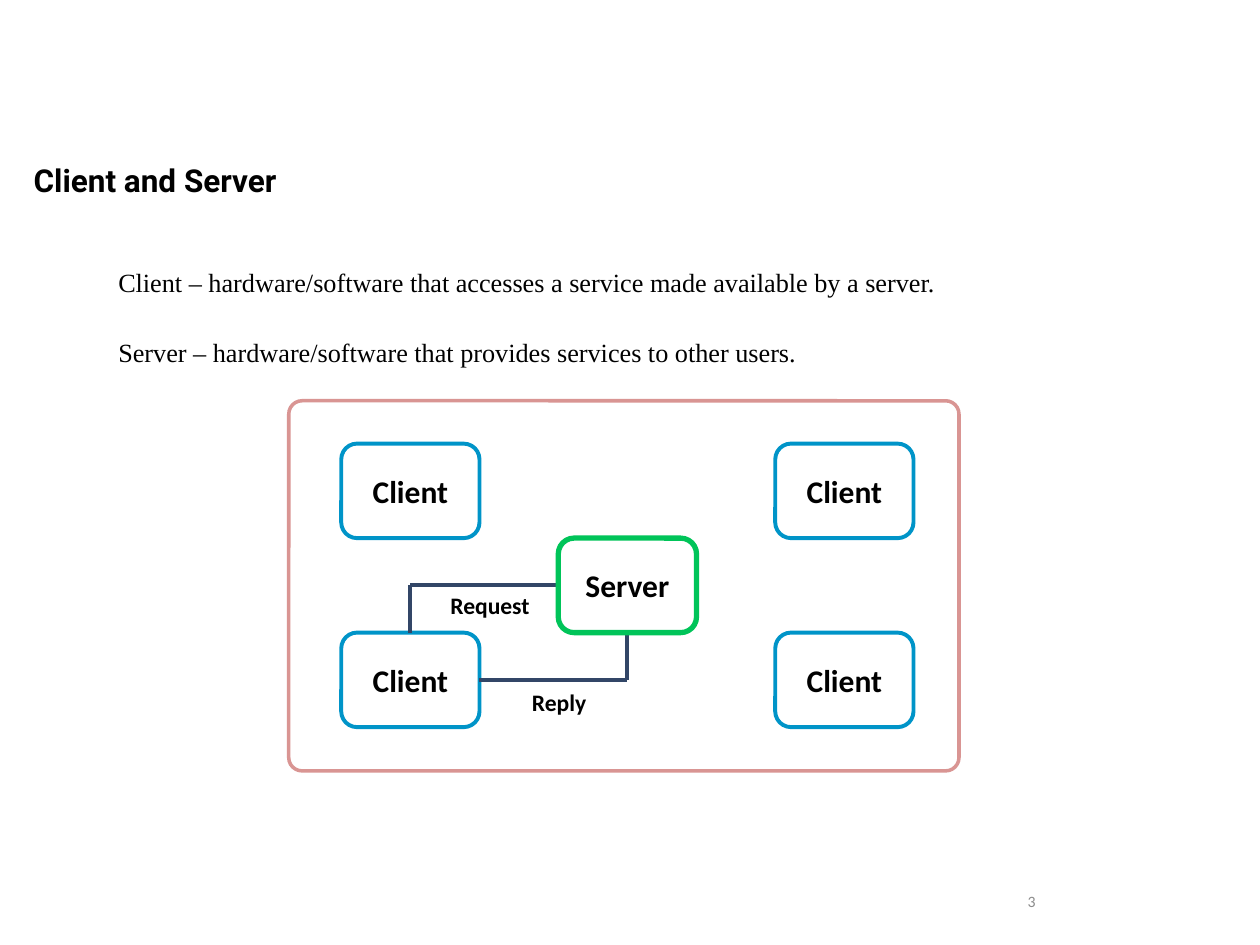
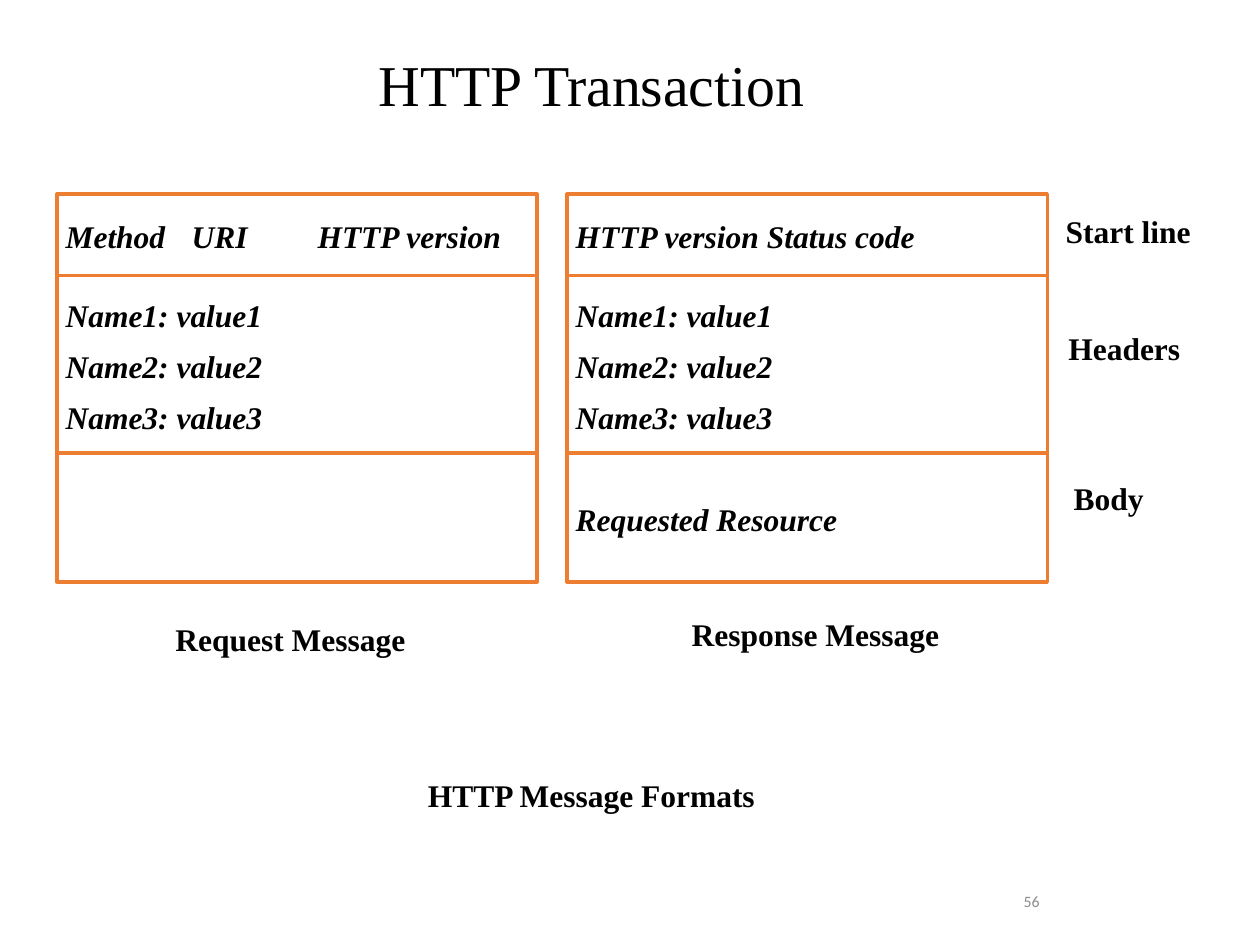
from dataclasses import dataclass
from lxml import etree
from pptx import Presentation
from pptx import util as u
from pptx.dml.color import RGBColor
from pptx.enum import shapes, text
from pptx.oxml import ns


@dataclass(frozen=True)
class Theme:
    black: str = "000000"
    white: str = "FFFFFF"
    grey: str = "8C8C8C"
    frame: str = "D99593"
    client: str = "0094C8"
    server: str = "00C459"
    link: str = "324667"
    message: str = "ED7D31"
    serif: str = "Times New Roman"
    sans: str = "Calibri"
    heading: str = "Roboto"
    title: float = 33
    label: float = 18
    body: float = 15
    small: float = 13.5
    number: float = 9


T = Theme()
LEFT, CENTER = text.PP_ALIGN.LEFT, text.PP_ALIGN.CENTER
TOP, MIDDLE = text.MSO_ANCHOR.TOP, text.MSO_ANCHOR.MIDDLE
RECT, ROUND = shapes.MSO_SHAPE.RECTANGLE, shapes.MSO_SHAPE.ROUNDED_RECTANGLE


def write(sp, lines, size, font, bold=False, italic=False, color=T.black,
          align=CENTER, anchor=TOP, spacing=1.0, before=0, inset=(7.2, 3.6)):
    tf = sp.text_frame
    tf.word_wrap = True
    tf.auto_size = text.MSO_AUTO_SIZE.NONE
    tf.vertical_anchor = anchor
    tf.margin_left = tf.margin_right = u.Pt(inset[0])
    tf.margin_top = tf.margin_bottom = u.Pt(inset[1])
    for i, line in enumerate(lines):
        p = tf.add_paragraph() if i else tf.paragraphs[0]
        p.alignment = align
        p.line_spacing = spacing
        p.space_before = u.Pt(before if i else 0)
        r = p.add_run()
        r.text = line
        r.font.size = u.Pt(size)
        r.font.name = font
        r.font.bold = bold
        r.font.italic = italic
        r.font.color.rgb = RGBColor.from_string(color)


def box(s, kind, at, line=None, weight=2):
    sp = s.shapes.add_shape(kind, *map(u.Pt, at))
    sp.shadow.inherit = False
    sp.fill.solid()
    sp.fill.fore_color.rgb = RGBColor.from_string(T.white)
    if line:
        sp.line.color.rgb = RGBColor.from_string(line)
        sp.line.width = u.Pt(weight)
    else:
        sp.line.fill.background()
    return sp


prs = Presentation()
prs.slide_width, prs.slide_height = u.Pt(720), u.Pt(540)

slides = []
for title, at, number, style in [
    ("Client and Server", (12, 88.5, 605.5, 29), "3",
     dict(size=T.label, font=T.heading, bold=True, align=LEFT)),
    ("HTTP Transaction", (193, 30, 290, 40.5), "56",
     dict(size=T.title, font=T.serif, anchor=MIDDLE, spacing=0.9)),
]:
    s = prs.slides.add_slide(prs.slide_layouts[5])
    sp = s.shapes.title
    sp.left, sp.top, sp.width, sp.height = map(u.Pt, at)
    write(sp, [title], **style)
    sp = s.shapes.add_textbox(*map(u.Pt, (508.5, 500.5, 162, 29)))
    write(sp, [number], T.number, T.sans, color=T.grey, anchor=MIDDLE)
    slides.append(s)

s = slides[0]
sp = s.shapes.add_textbox(*map(u.Pt, (60.5, 147, 638.5, 66)))
write(sp, ["Client – hardware/software that accesses a service made available by a server.",
           "Server – hardware/software that provides services to other users."],
      T.body, T.serif, align=LEFT, spacing=1.1, before=20)

frame = box(s, ROUND, (165, 229, 383, 211.5), T.frame)
frame.adjustments[0] = 0.036

node_w, node_h = 79, 54
grid_x, grid_y, step_x = 195, 253.5, 124
clients = {}
for col, row in [(2, 0), (2, 2), (0, 0), (0, 2)]:
    sp = box(s, ROUND, (grid_x + col * step_x, grid_y + row * node_h, node_w, node_h),
             T.client, 2.25)
    write(sp, ["Client"], T.label, T.sans, bold=True, anchor=MIDDLE)
    clients[col, row] = sp

client_x = grid_x + node_w / 2
server_x = client_x + step_x
request_y = grid_y + 1.5 * node_h
reply_y = request_y + node_h
links = []
for start, corner in [
    ((client_x, reply_y - node_h / 2), (client_x, request_y)),
    ((server_x - node_w / 2, request_y), (client_x, request_y)),
    ((client_x + node_w / 2, reply_y), (server_x, reply_y)),
    ((server_x, request_y + node_h / 2), (server_x, reply_y)),
]:
    link = s.shapes.add_connector(shapes.MSO_CONNECTOR.STRAIGHT, *map(u.Pt, start + corner))
    link.line.color.rgb = RGBColor.from_string(T.link)
    link.line.width = u.Pt(2.25)
    etree.SubElement(link.element.spPr, ns.qn("a:effectLst"))
    links.append(link)

server = box(s, ROUND, (grid_x + step_x, grid_y + node_h, node_w, node_h), T.server, 3)
write(server, ["Server"], T.label, T.sans, bold=True, anchor=MIDDLE)
caller = clients[0, 2]
for link, (node, side) in zip(links, [(caller, 0), (server, 1), (caller, 3), (server, 2)]):
    link.begin_connect(node, side)

for label, x, y in [("Request", 246.5, 334), ("Reply", 286, 389.5)]:
    sp = s.shapes.add_textbox(*map(u.Pt, (x, y, 67, 24)))
    write(sp, [label], T.small, T.sans, bold=True)

s = slides[1]
label_style = dict(size=T.label, font=T.serif, bold=True, spacing=1.07, inset=(5, 2.9))
headers = [f"Name{i}: value{i}" for i in (1, 2, 3)]
part_heights = [46.5, 101.5, 73.5]
for x, parts in [
    (32.5, [["Method\tURI\tHTTP version"], headers, []]),
    (324, [["HTTP version Status code"], headers, ["Requested Resource"]]),
]:
    y = 111
    for lines, height in zip(parts, part_heights):
        sp = box(s, RECT, (x, y, 274.5, height), T.message)
        if lines:
            write(sp, lines, italic=True, align=LEFT, anchor=MIDDLE, before=6, **label_style)
        if any("\t" in line for line in lines):
            pPr = sp.text_frame.paragraphs[0]._p.get_or_add_pPr()
            tabs = etree.SubElement(pPr, ns.qn("a:tabLst"))
            for stop in (72, 144):
                etree.SubElement(tabs, ns.qn("a:tab"), pos=str(u.Pt(stop)), algn="l")
        y += height

for label, at, align in [
    ("Request Message", (37.5, 350, 257, 46), CENTER),
    ("Response Message", (337.5, 347, 257, 46), CENTER),
    ("Start line", (604, 116.5, 83.5, 46), LEFT),
    ("Headers", (605.5, 183.5, 82, 46), LEFT),
    ("Body", (608.5, 269.5, 70, 56), LEFT),
    ("HTTP Message Formats", (209.5, 439, 257, 46), CENTER),
]:
    write(box(s, RECT, at), [label], align=align, **label_style)

prs.save("out.pptx")
